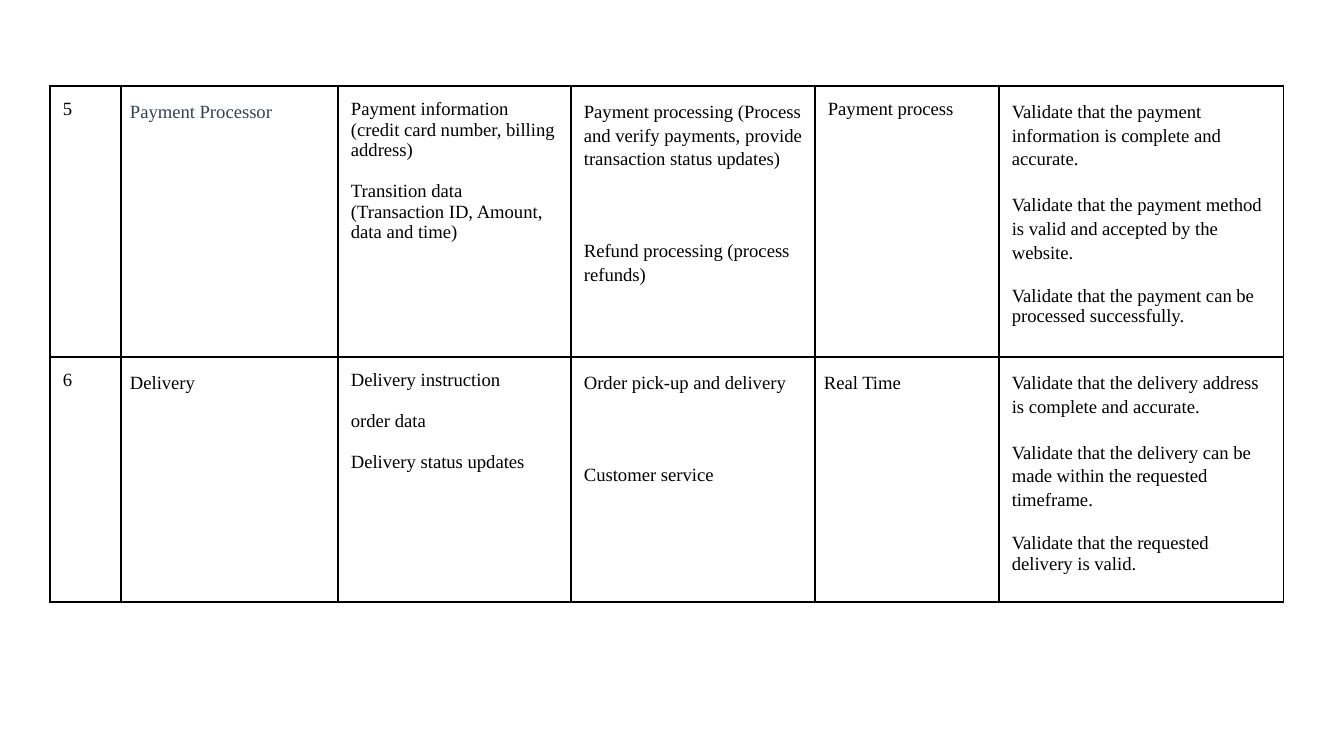
from lxml.etree import SubElement as Sub
from pptx import Presentation
from pptx.dml.color import RGBColor
from pptx.oxml.ns import qn
from pptx.util import Emu, Pt

FONT = "Times New Roman"
INK, SLATE = "000000", "374151"
COLS = [71, 217, 233, 244, 184, 285]
ROWS = [271, 245]
WIDE, SLIM = 13, 9
PLAIN, LOOSE = (1, 0), (1.15, 12)
BREAK, GAP, LAST = (1, 11), (1.15, 36.6), (1, 12)

DATA = [
    [
        (WIDE, INK, [("5", PLAIN)]),
        (SLIM, SLATE, [("Payment Processor", LOOSE)]),
        (WIDE, INK, [
            ("Payment information (credit card number, billing address)", PLAIN),
            ("Transition data (Transaction ID, Amount, data and time)", BREAK)]),
        (WIDE, INK, [
            ("Payment processing (Process and verify payments, "
             "provide transaction status updates)", LOOSE),
            ("Refund processing (process refunds)", GAP)]),
        (WIDE, INK, [("Payment process", PLAIN)]),
        (WIDE, INK, [
            ("Validate that the payment information is complete and accurate.", LOOSE),
            ("Validate that the payment method is valid and accepted "
             "by the website.", LOOSE),
            ("Validate that the payment can be processed successfully.", LAST)]),
    ],
    [
        (WIDE, INK, [("6", PLAIN)]),
        (SLIM, INK, [("Delivery", LOOSE)]),
        (WIDE, INK, [
            ("Delivery instruction", PLAIN),
            ("order data", BREAK),
            ("Delivery status updates", BREAK)]),
        (WIDE, INK, [
            ("Order pick-up and delivery", LOOSE),
            ("Customer service", GAP)]),
        (SLIM, INK, [("Real Time", LOOSE)]),
        (WIDE, INK, [
            ("Validate that the delivery address is complete and accurate.", LOOSE),
            ("Validate that the delivery can be made within the requested "
             "timeframe.", LOOSE),
            ("Validate that the requested delivery is valid.", LAST)]),
    ],
]


def px(n):
    """Turn pixels into EMU."""
    return Emu(round(n * 914400 / 134.4))


def hue(code):
    """Turn a hex string into a colour."""
    return RGBColor.from_string(code)


def frame(cell):
    """Draw the four borders of a cell and clear its fill."""
    props = cell._tc.get_or_add_tcPr()
    for side in ("a:lnL", "a:lnR", "a:lnT", "a:lnB"):
        line = Sub(props, qn(side), w=str(Pt(0.75)))
        Sub(Sub(line, qn("a:solidFill")), qn("a:srgbClr"), val=INK)
    cell.fill.background()


def write(cell, inset, color, lines):
    """Fill a cell with spaced paragraphs."""
    cell.margin_left = cell.margin_right = px(inset)
    cell.margin_top = cell.margin_bottom = px(WIDE)
    text = cell.text_frame
    text.text = "\n".join(line for line, _ in lines)
    for para, (_, (lead, before)) in zip(text.paragraphs, lines):
        para.line_spacing = float(lead)
        para.space_before = Pt(before)
        font = para.runs[0].font
        font.name, font.size = FONT, Pt(10)
        font.color.rgb = hue(color)


def grid(slide, left, top, cols, rows, data):
    """Place the table of parties at a corner."""
    shape = slide.shapes.add_table(len(rows), len(cols), px(left), px(top),
                                   px(sum(cols)), px(sum(rows)))
    table = shape.table
    table.first_row = table.horz_banding = False
    for col, width in zip(table.columns, cols):
        col.width = px(width)
    for row, height, items in zip(table.rows, rows, data):
        row.height = px(height)
        for cell, item in zip(row.cells, items):
            frame(cell)
            write(cell, *item)


deck = Presentation()
deck.slide_width, deck.slide_height = px(1344), px(756)
page = deck.slides.add_slide(deck.slide_layouts[6])
grid(page, 50, 86, COLS, ROWS, DATA)
deck.save("out.pptx")
